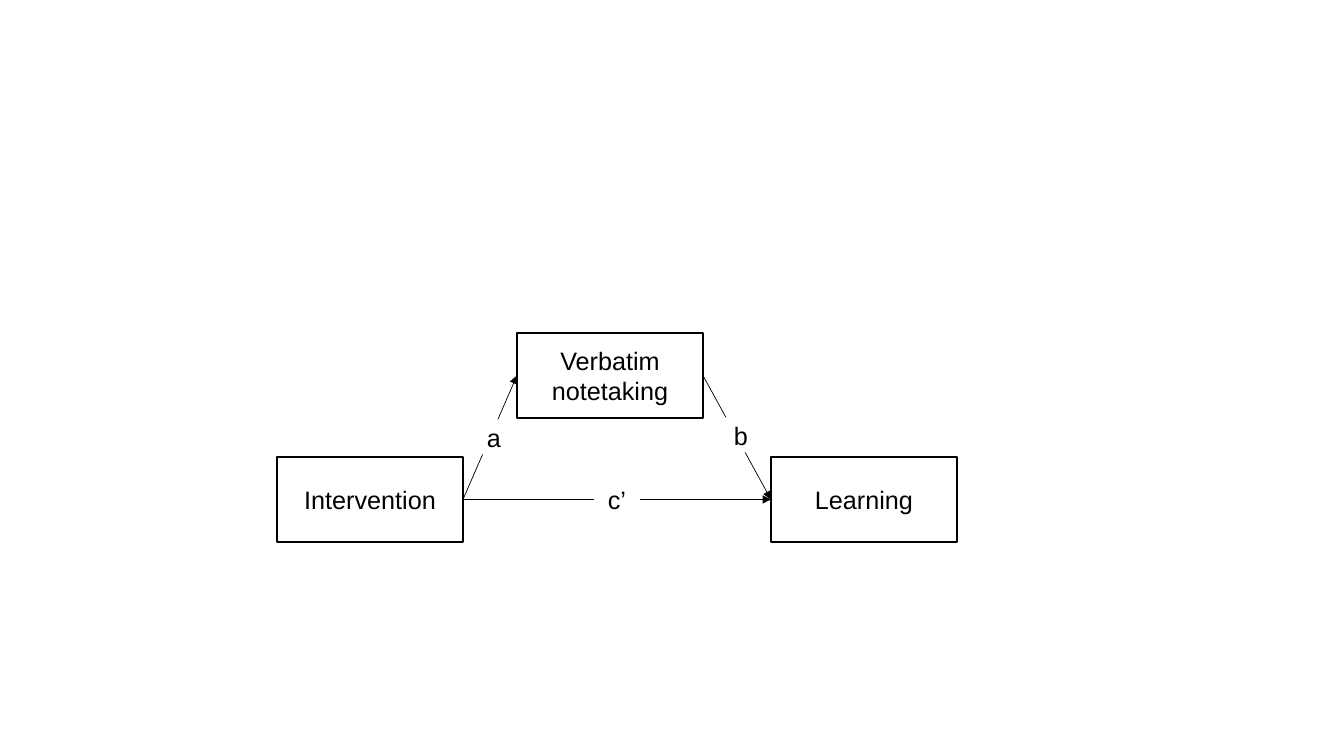
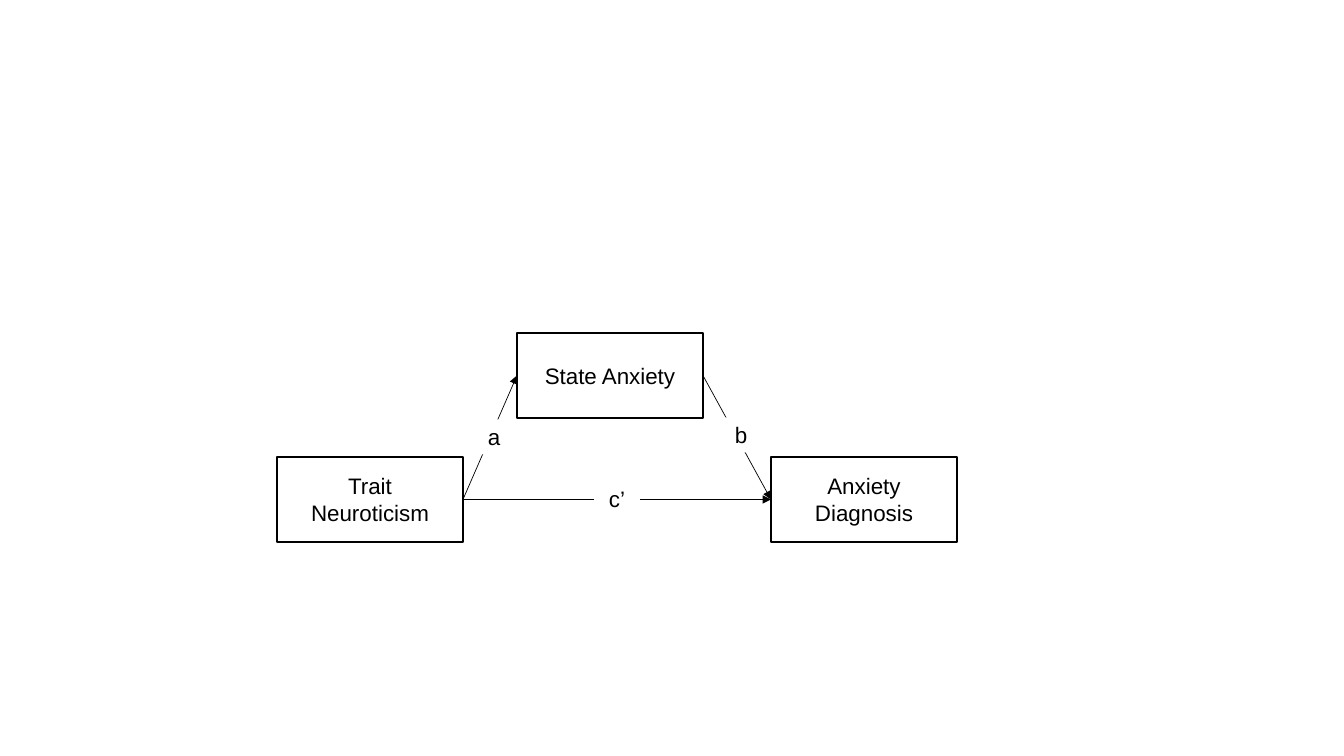
from lxml import etree
from pptx import Presentation
from pptx.dml.color import RGBColor
from pptx.enum.shapes import MSO_CONNECTOR, MSO_SHAPE
from pptx.enum.text import MSO_ANCHOR, PP_ALIGN
from pptx.oxml.ns import qn
from pptx.util import Pt

RECTANGLE = MSO_SHAPE.RECTANGLE
STRAIGHT = MSO_CONNECTOR.STRAIGHT
MIDDLE = MSO_ANCHOR.MIDDLE
CENTER = PP_ALIGN.CENTER

SCALE = 914400 / 100.8
COLORS = {"ink": "000000", "paper": "FFFFFF"}
FONT = "Arial"
LEFT_SITE, RIGHT_SITE = 1, 3
BOX_WIDTH, BOX_HEIGHT = 186, 85
LABEL_WIDTH, LABEL_HEIGHT = 46, 35


def px(length):
    return round(length * SCALE)


def color(name):
    return RGBColor.from_string(COLORS[name])


def write(shape, text, size, ink="ink", align=CENTER, anchor=MIDDLE):
    frame = shape.text_frame
    frame.word_wrap = True
    frame.vertical_anchor = anchor
    paragraph = frame.paragraphs[0]
    paragraph.alignment = align
    run = paragraph.add_run()
    run.text = text
    run.font.name = FONT
    run.font.size = Pt(size)
    run.font.color.rgb = color(ink)


class Diagram:
    def __init__(self, deck, text_size):
        self.slide = deck.slides.add_slide(deck.slide_layouts[6])
        self.text_size = text_size

    def rectangle(self, parent, text, left, top, width, height):
        shape = parent.add_shape(RECTANGLE, px(left), px(top), px(width), px(height))
        shape.shadow.inherit = False
        write(shape, text, self.text_size)
        return shape

    def variable(self, text, left, top):
        box = self.rectangle(self.slide.shapes, text, left, top, BOX_WIDTH, BOX_HEIGHT)
        box.fill.background()
        box.line.color.rgb = color("ink")
        box.line.width = Pt(1)
        return box

    def effect(self, text, cause, outcome, center_x, center_y):
        group = self.slide.shapes.add_group_shape().shapes
        arrow = group.add_connector(
            STRAIGHT,
            cause.left + cause.width, cause.top + cause.height // 2,
            outcome.left, outcome.top + outcome.height // 2,
        )
        arrow.begin_connect(cause, RIGHT_SITE)
        arrow.end_connect(outcome, LEFT_SITE)
        arrow.line.color.rgb = color("ink")
        arrow.line.width = Pt(0.5)
        etree.SubElement(arrow.line._get_or_add_ln(), qn("a:tailEnd"), type="triangle")
        etree.SubElement(arrow._element.spPr, qn("a:effectLst"))
        label = self.rectangle(
            group, text,
            center_x - LABEL_WIDTH / 2, center_y - LABEL_HEIGHT / 2,
            LABEL_WIDTH, LABEL_HEIGHT,
        )
        label.fill.solid()
        label.fill.fore_color.rgb = color("paper")
        label.line.fill.background()


def mediation(deck, predictor_name, mediator_name, outcome_name, text_size):
    diagram = Diagram(deck, text_size)
    predictor = diagram.variable(predictor_name, 277, 457)
    outcome = diagram.variable(outcome_name, 771, 457)
    mediator = diagram.variable(mediator_name, 517, 333)
    diagram.effect("c’", predictor, outcome, 617, 499)
    diagram.effect("a", predictor, mediator, 494, 437)
    diagram.effect("b", mediator, outcome, 741, 435)


deck = Presentation()
deck.slide_width, deck.slide_height = px(1344), px(756)
mediation(deck, "Intervention", "Verbatim notetaking", "Learning", 18)
mediation(deck, "Trait Neuroticism", "State Anxiety", "Anxiety Diagnosis", 16)
deck.save("out.pptx")
